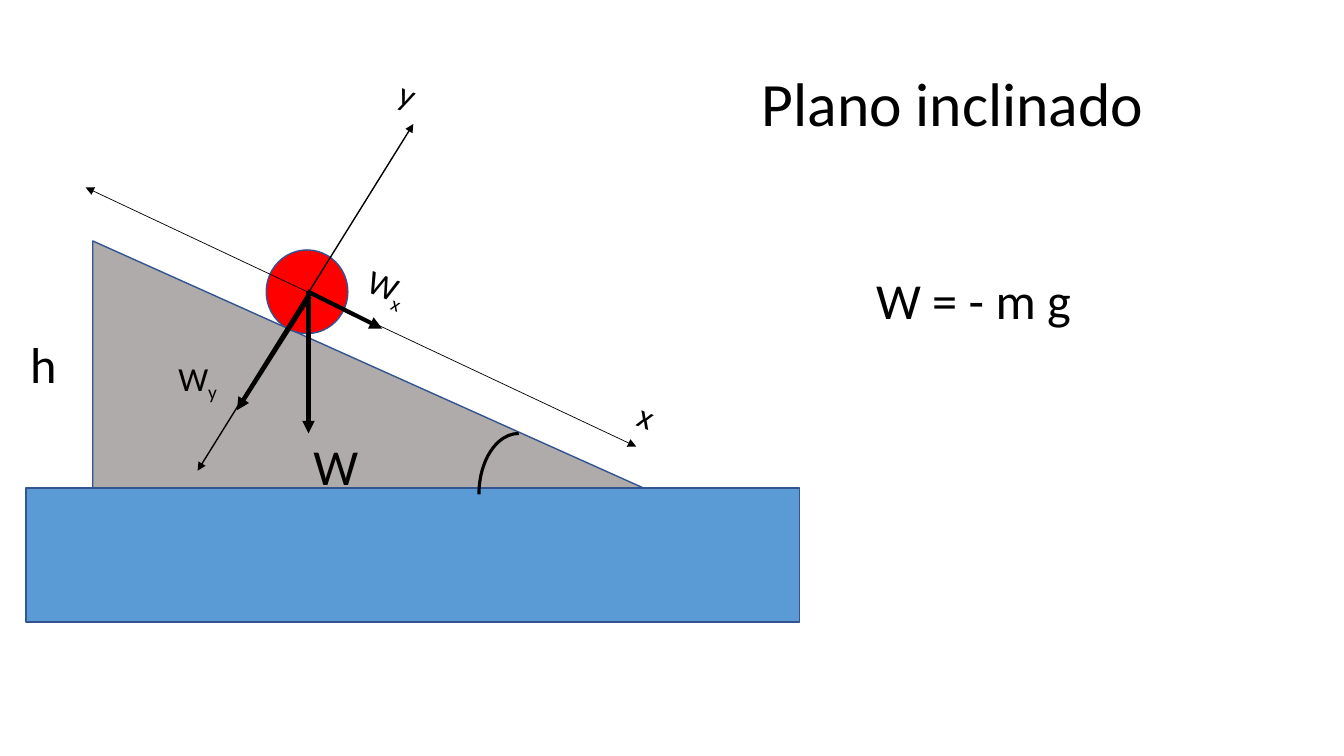
from lxml import etree
from pptx import Presentation
from pptx import util as u
from pptx.dml import color
from pptx.enum import shapes, text
from pptx.oxml import ns


def paint(format_part, hex_color):
    format_part.solid()
    format_part.fore_color.rgb = color.RGBColor.from_string(hex_color)


presentation = Presentation()
presentation.slide_width = u.Inches(13.33)
presentation.slide_height = u.Inches(7.5)
slide = presentation.slides.add_slide(presentation.slide_layouts[6])

kind = shapes.MSO_SHAPE
bodies = [
    (kind.RIGHT_TRIANGLE, (0.92, 2.39, 5.46, 2.45), "AFABAB", "325491", 1),
    (kind.OVAL, (2.64, 2.48, 0.81, 0.83), "FF0000", "325491", 1),
    (kind.RECTANGLE, (0.26, 4.84, 7.67, 1.33), "5B9BD5", "325491", 1),
    (kind.ARC, (4.75, 4.3, 0.79, 1.21), None, "000000", 2.25),
]
for preset, box, fill, outline, width in bodies:
    shape = slide.shapes.add_shape(preset, *map(u.Inches, box))
    shape.shadow.inherit = False
    if fill:
        paint(shape.fill, fill)
    else:
        shape.fill.background()
    paint(shape.line.fill, outline)
    shape.line.width = u.Pt(width)
    if preset == kind.ARC:
        shape.element.spPr.find(ns.qn("a:xfrm")).set("flipH", "1")

both_ends = ("a:headEnd", "a:tailEnd")
arrows = [
    ((0.85, 1.86, 6.31, 4.43), 0.5, both_ends),
    ((3.06, 2.89, 3.06, 4.3), 3, both_ends[1:]),
    ((1.96, 4.67, 4.1, 1.23), 1, both_ends),
    ((3.05, 2.89, 3.79, 3.26), 3, both_ends[1:]),
    ((3.07, 2.94, 2.35, 4.07), 3, both_ends[1:]),
]
for ends, width, arrowheads in arrows:
    arrow = slide.shapes.add_connector(shapes.MSO_CONNECTOR.STRAIGHT, *map(u.Inches, ends))
    paint(arrow.line.fill, "000000")
    arrow.line.width = u.Pt(width)
    properties = arrow.element.spPr
    for arrowhead in arrowheads:
        etree.SubElement(properties.find(ns.qn("a:ln")), ns.qn(arrowhead), type="triangle")
    etree.SubElement(properties, ns.qn("a:effectLst"))

title = {"vertical_anchor": text.MSO_ANCHOR.MIDDLE, "word_wrap": True}
large = {"auto_size": text.MSO_AUTO_SIZE.SHAPE_TO_FIT_TEXT, "word_wrap": False}
small = {**large, "word_wrap": True}
centred = {"alignment": text.PP_ALIGN.CENTER, "line_spacing": 0.9}
labels = [
    ("Plano inclinado", "", (6.48, 0.33, 5.94, 1.45), 44, 0, title, centred),
    ("h", "", (0.2, 3.26, 0.47, 0.71), 36, 0, large, {}),
    ("x", "", (6.24, 3.9, 0.48, 0.5), 24, 21.3, small, {}),
    ("W", "", (3.01, 4.27, 0.65, 0.71), 36, 0, large, {}),
    ("W = - m g", "", (8.59, 2.62, 2.15, 0.71), 36, 0, large, {}),
    ("y", "", (3.87, 0.7, 0.48, 0.5), 24, 21.3, small, {}),
    ("W", "x", (3.55, 2.62, 0.77, 0.5), 24, 21.3, small, {}),
    ("W", "y", (1.67, 3.5, 0.77, 0.5), 24, 0, small, {}),
]
for wording, subscript, box, size, rotation, frame_format, paragraph_format in labels:
    label = slide.shapes.add_textbox(*map(u.Inches, box))
    label.rotation = rotation
    paragraph = label.text_frame.paragraphs[0]
    for target, formats in ((label.text_frame, frame_format), (paragraph, paragraph_format)):
        for name, value in formats.items():
            setattr(target, name, value)
    for part in filter(None, (wording, subscript)):
        run = paragraph.add_run()
        run.text = part
        for name, value in {"name": "Calibri", "size": u.Pt(size)}.items():
            setattr(run.font, name, value)
        paint(run.font.fill, "000000")
    if subscript:
        run._r.get_or_add_rPr().set("baseline", "-25000")

presentation.save("out.pptx")
